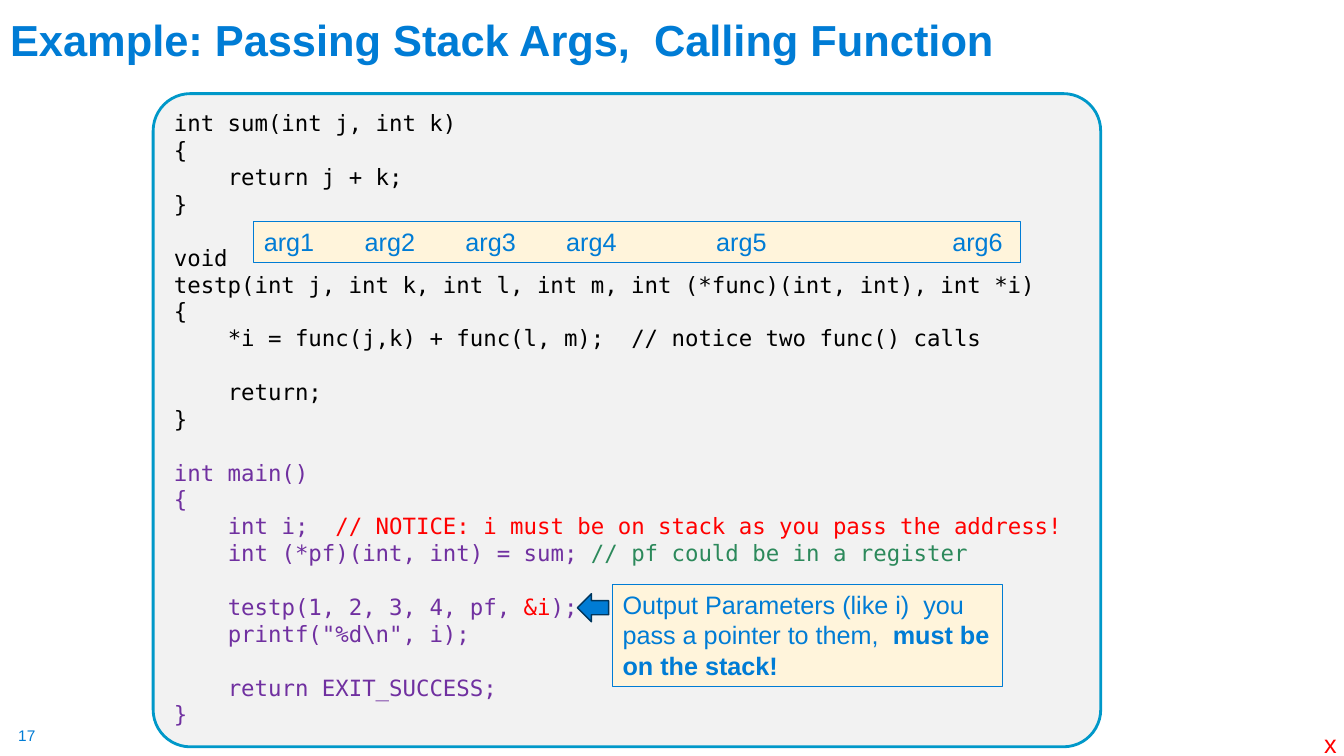
import pptx
import pptx.util
import pptx.dml.color
import pptx.enum.shapes
import pptx.enum.text
import pptx.oxml
import pptx.oxml.ns
from pptx.util import Cm

BLUE, PURPLE, RED, GREEN, BLACK = "007CD5", "7030A0", "FF0000", "2C895B", "000000"
CREAM = "FFF4DB"
CODE_LINE_HEIGHT = 19.2
CODE_INDENT = 38.5

# Each line: indent level, blank lines before it, runs of (text, colour)
CODE_LINES = [
    (0, 0, [("int sum(int j, int k)", BLACK)]),
    (0, 0, [("{", BLACK)]),
    (1, 0, [("return j + k;", BLACK)]),
    (0, 0, [("}", BLACK)]),
    (0, 1, [("void", BLACK)]),
    (0, 0, [("testp(int j, int k, int l, int m, int (*func)(int, int), int *i)", BLACK)]),
    (0, 0, [("{", BLACK)]),
    (1, 0, [("*i = func(j,k) + func(l, m);  // notice two func() calls", BLACK)]),
    (1, 1, [("return;", BLACK)]),
    (0, 0, [("}", BLACK)]),
    (0, 1, [("int main()", PURPLE)]),
    (0, 0, [("{", PURPLE)]),
    (1, 0, [("int i;  ", PURPLE),
            ("// NOTICE: i must be on stack as you pass the address!", RED)]),
    (1, 0, [("int (*pf)(int, int) = sum; ", PURPLE),
            ("// pf could be in a register", GREEN)]),
    (1, 1, [("testp(1, 2, 3, 4, pf, ", PURPLE), ("&i", RED), (");", PURPLE)]),
    (1, 0, [('printf("%d\\n", i);', PURPLE)]),
    (1, 1, [("return EXIT_SUCCESS;", PURPLE)]),
    (0, 0, [("}", PURPLE)]),
]


def colour(value):
    """Return the RGB colour of a hex string."""
    return pptx.dml.color.RGBColor.from_string(value)


def set_font(font, size, value, name="Arial", bold=False):
    """Set the size, colour, name and weight of a font."""
    font.size = pptx.util.Pt(size)
    font.color.rgb = colour(value)
    font.name = name
    font.bold = bold


def add_panel(slide, kind, box, fill, line, width):
    """Add a filled, outlined shape with left-aligned text from its top."""
    shape = slide.shapes.add_shape(kind, *box)
    shape.shadow.inherit = False
    shape.fill.solid()
    shape.fill.fore_color.rgb = colour(fill)
    shape.line.color.rgb = colour(line)
    shape.line.width = pptx.util.Pt(width)
    shape.text_frame.word_wrap = True
    shape.text_frame.vertical_anchor = pptx.enum.text.MSO_ANCHOR.TOP
    shape.text_frame.paragraphs[0].alignment = pptx.enum.text.PP_ALIGN.LEFT
    return shape


def add_title(slide, box):
    """Move and format the title placeholder."""
    title = slide.shapes.title
    title.left, title.top, title.width, title.height = box
    frame = title.text_frame
    frame.text = "Example: Passing Stack Args,  Calling Function"
    frame.vertical_anchor = pptx.enum.text.MSO_ANCHOR.BOTTOM
    paragraph = frame.paragraphs[0]
    paragraph.alignment = pptx.enum.text.PP_ALIGN.LEFT
    paragraph.line_spacing = 0.9
    set_font(paragraph.font, 31, BLUE, bold=True)


def add_code(slide, box):
    """Add the rounded panel with the program listing."""
    panel = add_panel(slide, pptx.enum.shapes.MSO_SHAPE.ROUNDED_RECTANGLE,
                      box, "F2F2F2", "0098C9", 2)
    panel.adjustments[0] = 0.057
    frame = panel.text_frame
    for number, (level, blanks, runs) in enumerate(CODE_LINES):
        paragraph = frame.add_paragraph() if number else frame.paragraphs[0]
        paragraph.alignment = pptx.enum.text.PP_ALIGN.LEFT
        paragraph.line_spacing = pptx.util.Pt(CODE_LINE_HEIGHT)
        paragraph.space_before = pptx.util.Pt(blanks * CODE_LINE_HEIGHT)
        properties = paragraph._p.get_or_add_pPr()
        properties.set("marL", str(pptx.util.Pt(level * CODE_INDENT)))
        properties.set("indent", "0")
        for text, value in runs:
            run = paragraph.add_run()
            run.text = text
            set_font(run.font, 16, value, "DejaVu Sans Mono")


def add_arguments(slide, box):
    """Add the strip that numbers the arguments, spaced by tab stops."""
    strip = add_panel(slide, pptx.enum.shapes.MSO_SHAPE.RECTANGLE,
                      box, CREAM, BLUE, 0.75)
    paragraph = strip.text_frame.paragraphs[0]
    stops = [2.54, 5.08, 7.62, 11.4, 17.35]
    tabs = "".join(f'<a:tab pos="{Cm(stop)}" algn="l"/>' for stop in stops)
    paragraph._p.get_or_add_pPr().insert(0, pptx.oxml.parse_xml(
        f'<a:tabLst {pptx.oxml.ns.nsdecls("a")}>{tabs}</a:tabLst>'))
    run = paragraph.add_run()
    run.text = "\t".join(f"arg{number}" for number in range(1, 7))
    set_font(paragraph.font, 18, BLUE)


def add_note(slide, box):
    """Add the note on output parameters and the arrow at its left."""
    note = add_panel(slide, pptx.enum.shapes.MSO_SHAPE.RECTANGLE,
                     box, CREAM, BLUE, 0.75)
    paragraph = note.text_frame.paragraphs[0]
    for text, bold in [("Output Parameters (like i)  you pass a pointer to them,  ", False),
                       ("must be on the stack!", True)]:
        run = paragraph.add_run()
        run.text = text
        set_font(run.font, 18, BLUE, bold=bold)
    left, top = box[:2]
    add_panel(slide, pptx.enum.shapes.MSO_SHAPE.LEFT_ARROW,
              (left - Cm(0.89), top + Cm(0.23), Cm(0.79), Cm(0.71)),
              BLUE, "00365D", 1)


def add_mark(slide, box, text, size, value, margins=True):
    """Add a short unwrapped text at the foot of the slide."""
    frame = slide.shapes.add_textbox(*box).text_frame
    frame.word_wrap = False
    if not margins:
        frame.margin_left = frame.margin_right = 0
        frame.margin_top = frame.margin_bottom = 0
    frame.text = text
    set_font(frame.paragraphs[0].font, size, value)


def main():
    """Build the slide and save it."""
    presentation = pptx.Presentation()
    presentation.slide_width = Cm(33.87)
    presentation.slide_height = Cm(19.05)
    slide = presentation.slides.add_slide(presentation.slide_layouts[5])
    add_title(slide, (Cm(0), Cm(0.05), Cm(29.21), Cm(1.73)))
    add_code(slide, (Cm(3.86), Cm(2.36), Cm(23.88), Cm(16.46)))
    add_arguments(slide, (Cm(6.4), Cm(5.59), Cm(19.33), Cm(1.02)))
    add_note(slide, (Cm(15.44), Cm(14.73), Cm(9.83), Cm(2.57)))
    add_mark(slide, (Cm(0.46), Cm(18.31), Cm(0.48), Cm(0.48)), "17", 11, BLUE, False)
    add_mark(slide, (Cm(33.12), Cm(18.24), Cm(0.84), Cm(1.02)), "x", 18, RED)
    presentation.save("out.pptx")


if __name__ == "__main__":
    main()
